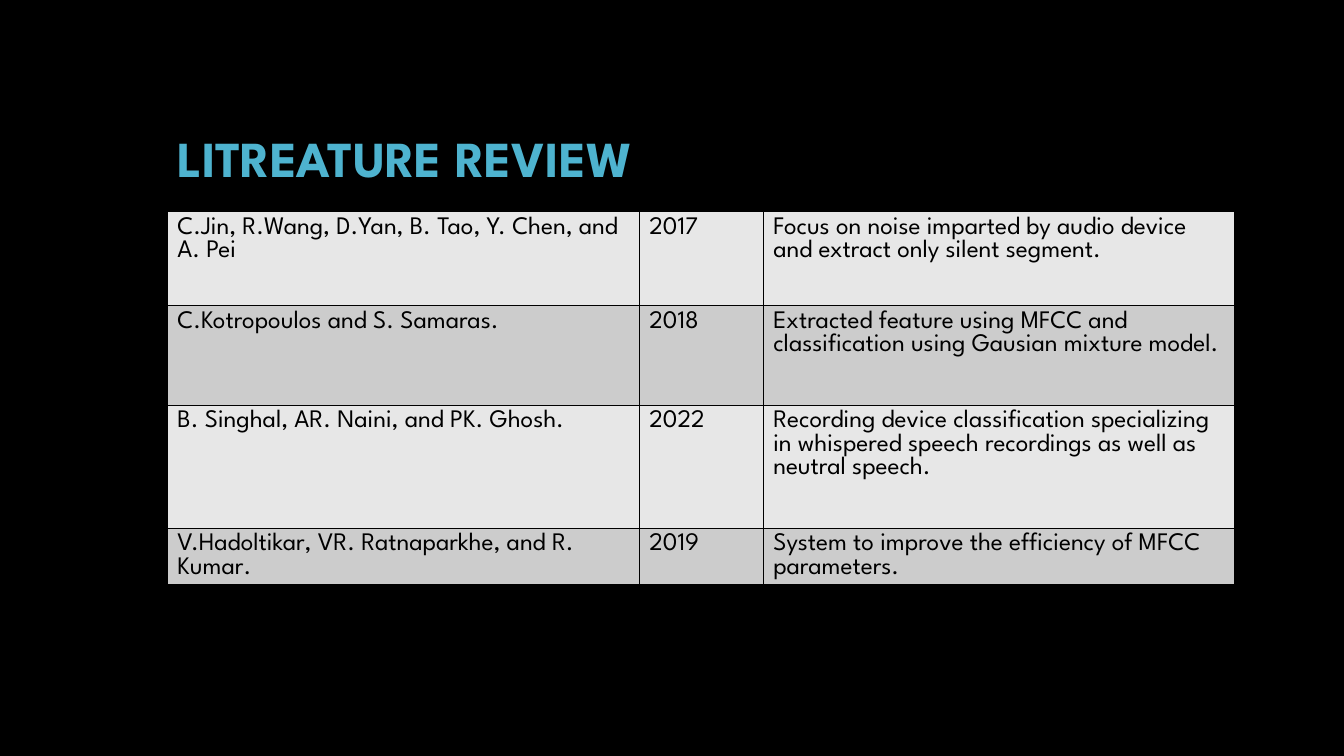
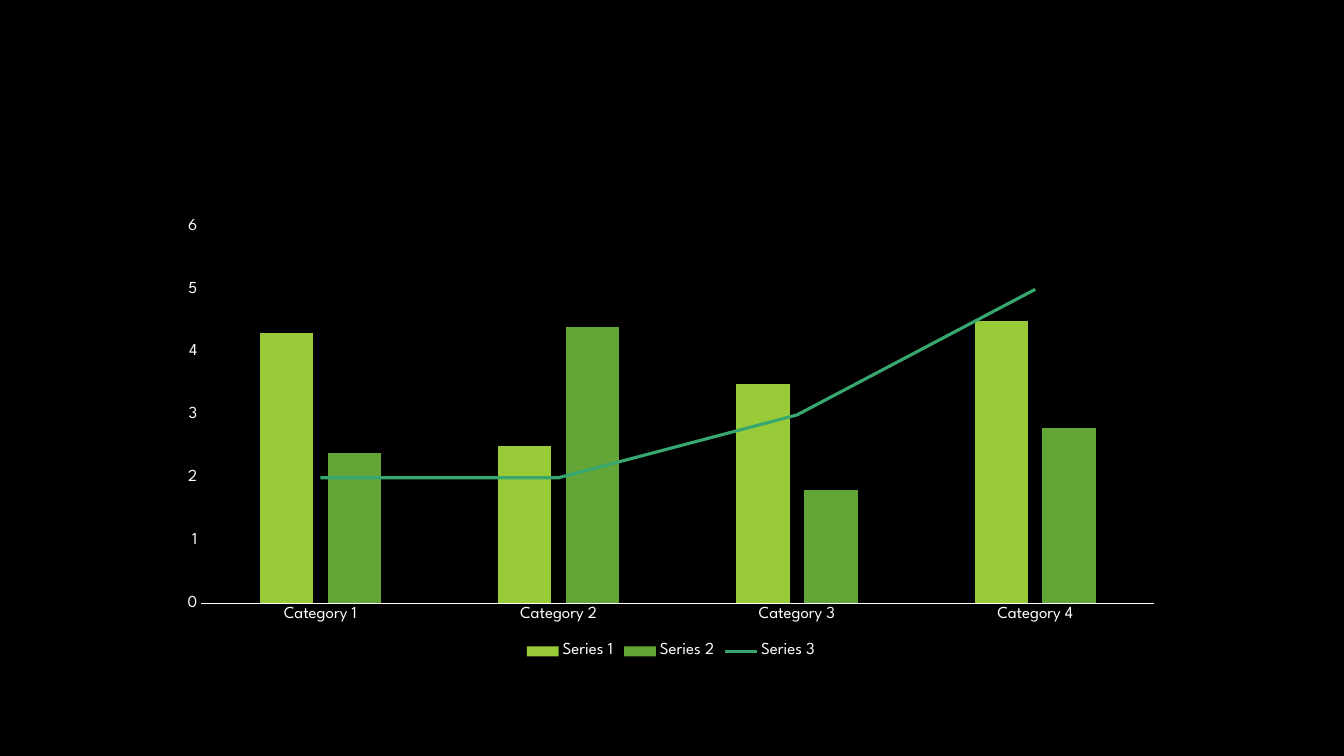
"""Build a literature review table slide and a combined chart slide."""
import lxml.etree
import pptx
import pptx.chart.data
import pptx.dml.color
import pptx.enum.chart
import pptx.enum.text
import pptx.oxml
import pptx.oxml.ns
import pptx.util

Inches, Pt = pptx.util.Inches, pptx.util.Pt
qn = pptx.oxml.ns.qn
FONT = "League Spartan"
LEFT = Inches(1.66)
COLORS = {
    "background": "000000", "title": "4EB3CF", "cell_text": "000000",
    "border": "000000", "light_row": "E7E7E7", "dark_row": "CCCCCC",
    "chart_text": "FFFFFF", "series_1": "99CB38", "series_2": "63A537",
    "series_3": "37A76F",
}


def rgb(name):
    return pptx.dml.color.RGBColor.from_string(COLORS[name])


def write(tf, text, size=18, color="cell_text", bold=False, spacing=None):
    p = tf.paragraphs[0]
    p.alignment = pptx.enum.text.PP_ALIGN.LEFT
    p.line_spacing = spacing
    r = p.add_run()
    r.text = text
    r.font.name = FONT
    r.font.size = Pt(size)
    r.font.bold = bold
    r.font.color.rgb = rgb(color)


prs = pptx.Presentation()
prs.slide_width, prs.slide_height = Inches(13.33), Inches(7.5)
fill = prs.slide_master.background.fill
fill.solid()
fill.fore_color.rgb = rgb("background")

s = prs.slides.add_slide(prs.slide_layouts[5])
title = s.shapes.title
title.left, title.top = LEFT, Inches(0.42)
title.width, title.height = Inches(10), Inches(1.5)
tf = title.text_frame
tf.auto_size = pptx.enum.text.MSO_AUTO_SIZE.NONE
tf.vertical_anchor = pptx.enum.text.MSO_ANCHOR.BOTTOM
write(tf, "LITREATURE REVIEW", size=36, color="title", bold=True, spacing=0.9)

papers = [
    ("C.Jin, R.Wang, D.Yan, B. Tao, Y. Chen, and A. Pei", "2017",
     "Focus on noise imparted by audio device and extract only silent segment."),
    ("C.Kotropoulos and S. Samaras.", "2018",
     "Extracted feature using MFCC and classification using Gausian mixture model."),
    ("B. Singhal, AR. Naini, and PK. Ghosh.", "2022",
     "Recording device classification specializing in whispered speech recordings "
     "as well as neutral speech."),
    ("V.Hadoltikar, VR. Ratnaparkhe, and R. Kumar.", "2019",
     "System to improve the efficiency of MFCC parameters."),
]
col_widths = [4.68, 1.23, 4.68]
row_heights = [0.93, 0.99, 1.22, 0.46]
table = s.shapes.add_table(
    len(papers), len(col_widths), LEFT, Inches(2.1),
    Inches(sum(col_widths)), Inches(sum(row_heights))).table
table.first_row = table.horz_banding = False
for column, width in zip(table.columns, col_widths):
    column.width = Inches(width)
for i, (paper, height) in enumerate(zip(papers, row_heights)):
    table.rows[i].height = Inches(height)
    for j, text in enumerate(paper):
        cell = table.cell(i, j)
        write(cell.text_frame, text)
        tc_pr = cell._tc.get_or_add_tcPr()
        for side in ("a:lnL", "a:lnR", "a:lnT", "a:lnB"):
            ln = lxml.etree.SubElement(tc_pr, qn(side), w=str(Pt(1)))
            solid = lxml.etree.SubElement(ln, qn("a:solidFill"))
            lxml.etree.SubElement(solid, qn("a:srgbClr"), val=COLORS["border"])
        cell.fill.solid()
        cell.fill.fore_color.rgb = rgb("dark_row" if i % 2 else "light_row")

s = prs.slides.add_slide(prs.slide_layouts[6])
data = pptx.chart.data.CategoryChartData()
data.categories = [f"Category {n}" for n in range(1, 5)]
data.add_series("Series 1", (4.3, 2.5, 3.5, 4.5))
data.add_series("Series 2", (2.4, 4.4, 1.8, 2.8))
data.add_series("Series 3", (2, 2, 3, 5))
chart = s.shapes.add_chart(
    pptx.enum.chart.XL_CHART_TYPE.COLUMN_CLUSTERED,
    LEFT, Inches(2.08), Inches(9.99), Inches(4.5), data).chart
chart.has_title = False
chart.has_legend = True
chart.legend.position = pptx.enum.chart.XL_LEGEND_POSITION.BOTTOM
chart.legend.include_in_layout = False
chart.font.name = FONT
chart.font.size = Pt(12)
chart.font.color.rgb = rgb("chart_text")

for axis in (chart.category_axis, chart.value_axis):
    axis.has_major_gridlines = False
    axis.major_tick_mark = axis.minor_tick_mark = pptx.enum.chart.XL_TICK_MARK.NONE
chart.category_axis.format.line.color.rgb = rgb("chart_text")
chart.category_axis.format.line.width = Pt(0.75)
chart.value_axis.format.line.fill.background()
chart.value_axis.minimum_scale = 0
chart.value_axis.maximum_scale = 6
chart.value_axis.major_unit = 1

bar_chart = chart.element.find(".//" + qn("c:barChart"))
line_chart = pptx.oxml.parse_xml(
    '<c:lineChart xmlns:c="http://schemas.openxmlformats.org/drawingml/2006/chart">'
    '<c:grouping val="standard"/><c:varyColors val="0"/></c:lineChart>')
bar_chart.addnext(line_chart)
ser = bar_chart.findall(qn("c:ser"))[-1]
for invert in ser.findall(qn("c:invertIfNegative")):
    ser.remove(invert)
line_chart.append(ser)
lxml.etree.SubElement(line_chart, qn("c:marker"), val="1")
for ax_id in bar_chart.findall(qn("c:axId")):
    lxml.etree.SubElement(line_chart, qn("c:axId"), val=ax_id.get("val"))

bars, lines = chart.plots
bars.gap_width, bars.overlap = 219, -27
bars.vary_by_categories = False
for series, color in zip(bars.series, ("series_1", "series_2")):
    series.format.fill.solid()
    series.format.fill.fore_color.rgb = rgb(color)
trend = lines.series[0]
trend.smooth = False
trend.marker.style = pptx.enum.chart.XL_MARKER_STYLE.NONE
trend.format.line.color.rgb = rgb("series_3")
trend.format.line.width = Pt(2.25)

prs.save("out.pptx")
